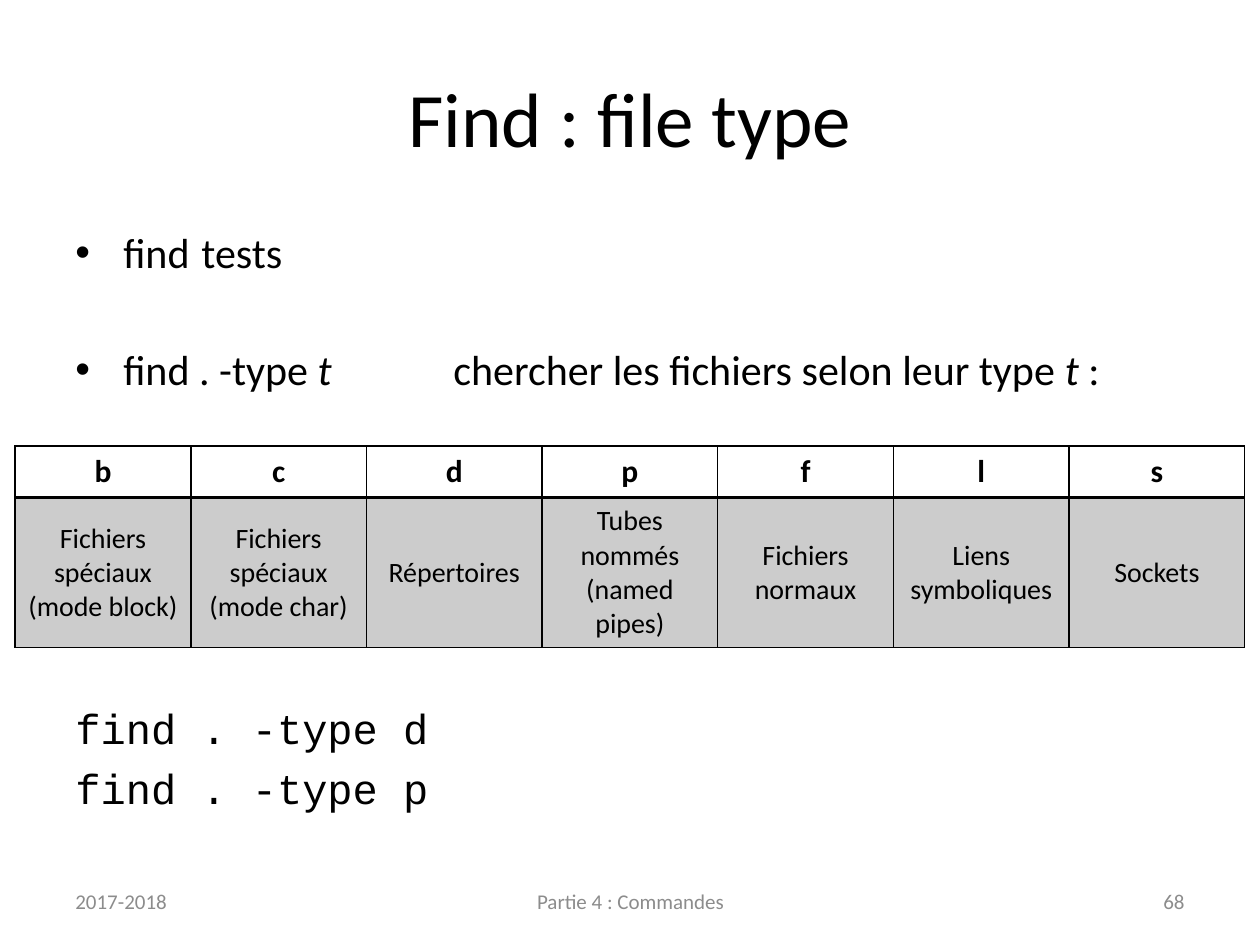
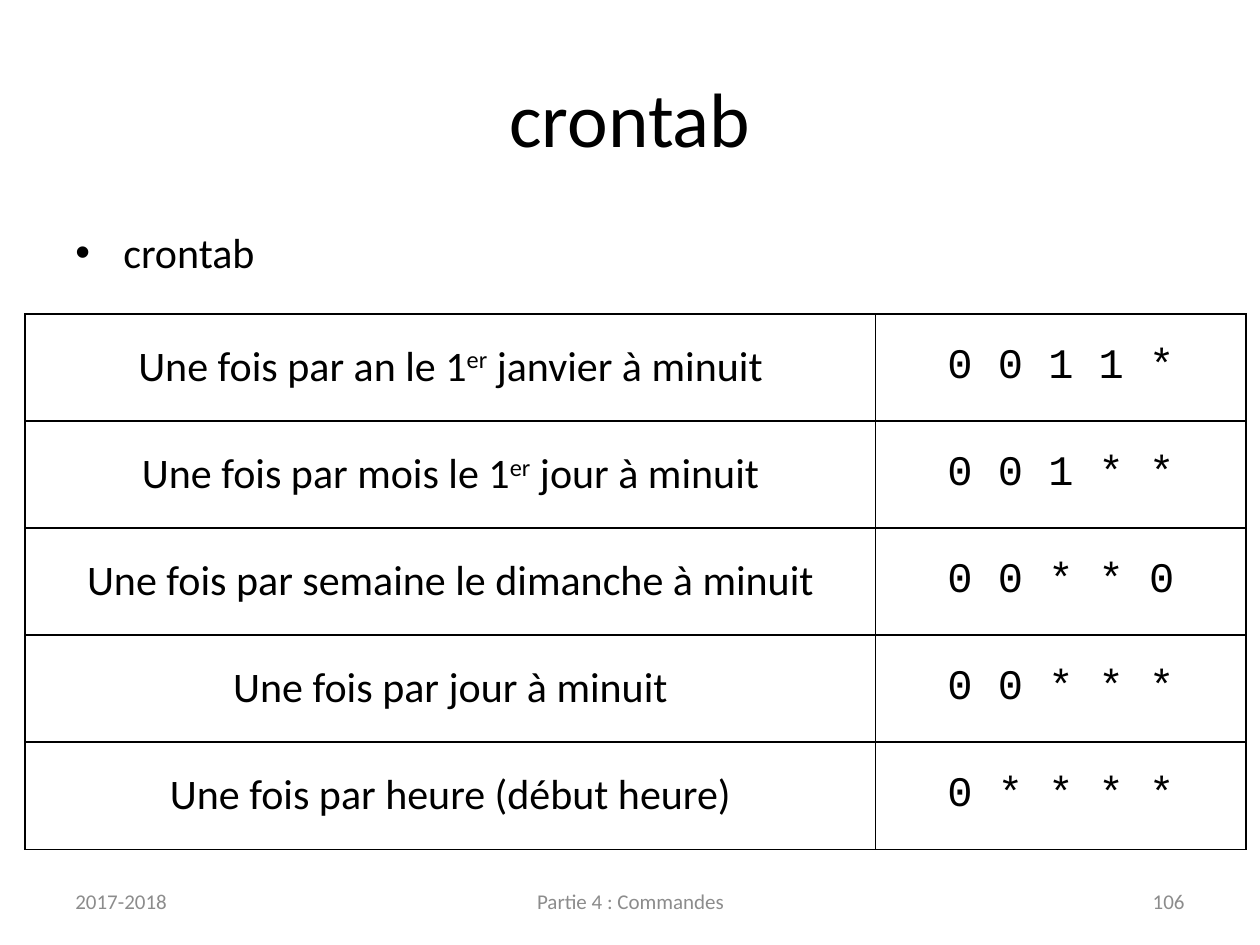
from pptx import Presentation
from pptx.dml.color import RGBColor
from pptx.enum.text import MSO_ANCHOR, PP_ALIGN
from pptx.oxml.ns import qn
from pptx.util import Inches, Pt
from lxml import etree

LEFT, CENTER, RIGHT = PP_ALIGN.LEFT, PP_ALIGN.CENTER, PP_ALIGN.RIGHT
TOP, MIDDLE = MSO_ANCHOR.TOP, MSO_ANCHOR.MIDDLE

BLACK = RGBColor(0x00, 0x00, 0x00)
FOOTER_GREY = RGBColor(0x8C, 0x8C, 0x8C)
CELL_GREY = RGBColor(0xCC, 0xCC, 0xCC)

TEXT_FONT = "Calibri"
CODE_FONT = "Courier New"
TITLE_ONLY = 5

# Run styles: attribute and value of the run properties
ITALIC = ("i", "1")
SUPERSCRIPT = ("baseline", "30000")

FILE_TYPES = [
    ("b", "Fichiers spéciaux (mode block)"),
    ("c", "Fichiers spéciaux (mode char)"),
    ("d", "Répertoires"),
    ("p", "Tubes nommés (named pipes)"),
    ("f", "Fichiers normaux"),
    ("l", "Liens symboliques"),
    ("s", "Sockets"),
]

SCHEDULES = [
    (["Une fois par an le 1", ("er", SUPERSCRIPT), " janvier à minuit"], "0 0 1 1 *"),
    (["Une fois par mois le 1", ("er", SUPERSCRIPT), " jour à minuit"], "0 0 1 * *"),
    (["Une fois par semaine le dimanche à minuit"], "0 0 * * 0"),
    (["Une fois par jour à minuit"], "0 0 * * *"),
    (["Une fois par heure (début heure)"], "0 * * * *"),
]


# Text
def write_paragraph(paragraph, pieces, size, font=TEXT_FONT, color=BLACK,
                    align=LEFT, bold=False):
    """Fill a paragraph; a piece is a string or a (string, run style) pair."""
    paragraph.alignment = align
    paragraph.font.name = font
    paragraph.font.size = Pt(size)
    paragraph.font.bold = bold
    paragraph.font.color.rgb = color
    for piece in pieces:
        text, style = (piece, None) if isinstance(piece, str) else piece
        run = paragraph.add_run()
        run.text = text
        if style:
            run._r.get_or_add_rPr().set(*style)


def add_text_frame(slide, left, top, width, height, anchor=TOP):
    box = slide.shapes.add_textbox(Inches(left), Inches(top), Inches(width), Inches(height))
    frame = box.text_frame
    frame.word_wrap = True
    frame.vertical_anchor = anchor
    return frame


def make_bullet(paragraph):
    properties = paragraph._p.get_or_add_pPr()
    indent = Inches(0.38)
    properties.set("marL", str(indent))
    properties.set("indent", str(-indent))
    properties.set("defTabSz", str(Inches(1)))
    bullet_font = etree.Element(qn("a:buFont"), typeface="Arial")
    bullet = etree.Element(qn("a:buChar"), char="•")
    default_run = properties.find(qn("a:defRPr"))
    default_run.addprevious(bullet_font)
    default_run.addprevious(bullet)


def add_body(slide, bullets, commands=()):
    frame = add_text_frame(slide, 0.5, 1.75, 9.15, 4.95)
    for index, pieces in enumerate(bullets):
        paragraph = frame.paragraphs[0] if index == 0 else frame.add_paragraph()
        write_paragraph(paragraph, pieces, 24)
        paragraph.space_before = Pt(38 if index else 0)
        make_bullet(paragraph)
    # The first command leaves room for the table above it
    for index, command in enumerate(commands):
        paragraph = frame.add_paragraph()
        write_paragraph(paragraph, [command], 24, CODE_FONT)
        paragraph.space_before = Pt(5.5 if index else 176)


# Slide with title and footer
def add_titled_slide(presentation, title_text, number):
    slide = presentation.slides.add_slide(presentation.slide_layouts[TITLE_ONLY])
    title = slide.shapes.title
    title.left, title.top = Inches(0.5), Inches(0.3)
    title.width, title.height = Inches(9), Inches(1.25)
    title.text_frame.vertical_anchor = MIDDLE
    write_paragraph(title.text_frame.paragraphs[0], [title_text], 44, align=CENTER)

    footers = [
        (0.5, 2.33, "2017-2018", LEFT),
        (3.42, 3.17, "Partie 4 : Commandes", CENTER),
        (7.17, 2.33, str(number), RIGHT),
    ]
    for left, width, text, align in footers:
        frame = add_text_frame(slide, left, 6.95, width, 0.4, MIDDLE)
        write_paragraph(frame.paragraphs[0], [text], 12, color=FOOTER_GREY, align=align)
    return slide


# Tables
def add_plain_table(slide, left, top, column_widths, row_heights):
    frame = slide.shapes.add_table(
        len(row_heights), len(column_widths), Inches(left), Inches(top),
        Inches(sum(column_widths)), Inches(sum(row_heights)))
    table = frame.table
    table.first_row = table.horz_banding = False
    for column, width in zip(table.columns, column_widths):
        column.width = Inches(width)
    for row, height in zip(table.rows, row_heights):
        row.height = Inches(height)
    return table


def set_borders(cell, top=1, bottom=1):
    properties = cell._tc.get_or_add_tcPr()
    for side, width in (("L", 1), ("R", 1), ("T", top), ("B", bottom)):
        line = etree.SubElement(properties, qn(f"a:ln{side}"), w=str(Pt(width)))
        fill = etree.SubElement(line, qn("a:solidFill"))
        etree.SubElement(fill, qn("a:srgbClr"), val=str(BLACK))


def fill_cell(cell, pieces, size, fill=None, font=TEXT_FONT, bold=False, **borders):
    set_borders(cell, **borders)
    if fill is None:
        cell.fill.background()
    else:
        cell.fill.solid()
        cell.fill.fore_color.rgb = fill
    cell.vertical_anchor = MIDDLE
    write_paragraph(cell.text_frame.paragraphs[0], pieces, size, font,
                    align=CENTER, bold=bold)


# Slides
def build_file_type_slide(presentation):
    slide = add_titled_slide(presentation, "Find : file type", 68)
    bullets = [
        ["find\ttests"],
        ["find . -type ", ("t\t", ITALIC), "chercher les fichiers selon leur type ",
         ("t", ITALIC), " :"],
    ]
    add_body(slide, bullets, ["find . -type d", "find . -type p"])
    count = len(FILE_TYPES)
    table = add_plain_table(slide, 0.12, 3.54, [9.76 / count] * count, [0.41, 1.19])
    for column, (letter, meaning) in enumerate(FILE_TYPES):
        fill_cell(table.cell(0, column), [letter], 18, bold=True, bottom=2)
        fill_cell(table.cell(1, column), [meaning], 16, CELL_GREY, top=2)


def build_crontab_slide(presentation):
    slide = add_titled_slide(presentation, "crontab", 106)
    add_body(slide, [["crontab"]])
    table = add_plain_table(slide, 0.2, 2.49, [6.75, 2.94], [0.85] * len(SCHEDULES))
    for row, (description, schedule) in enumerate(SCHEDULES):
        fill_cell(table.cell(row, 0), description, 24)
        fill_cell(table.cell(row, 1), [schedule], 24, font=CODE_FONT)


def main():
    presentation = Presentation()
    presentation.slide_width, presentation.slide_height = Inches(10), Inches(7.5)
    build_file_type_slide(presentation)
    build_crontab_slide(presentation)
    presentation.save("out.pptx")


if __name__ == "__main__":
    main()
